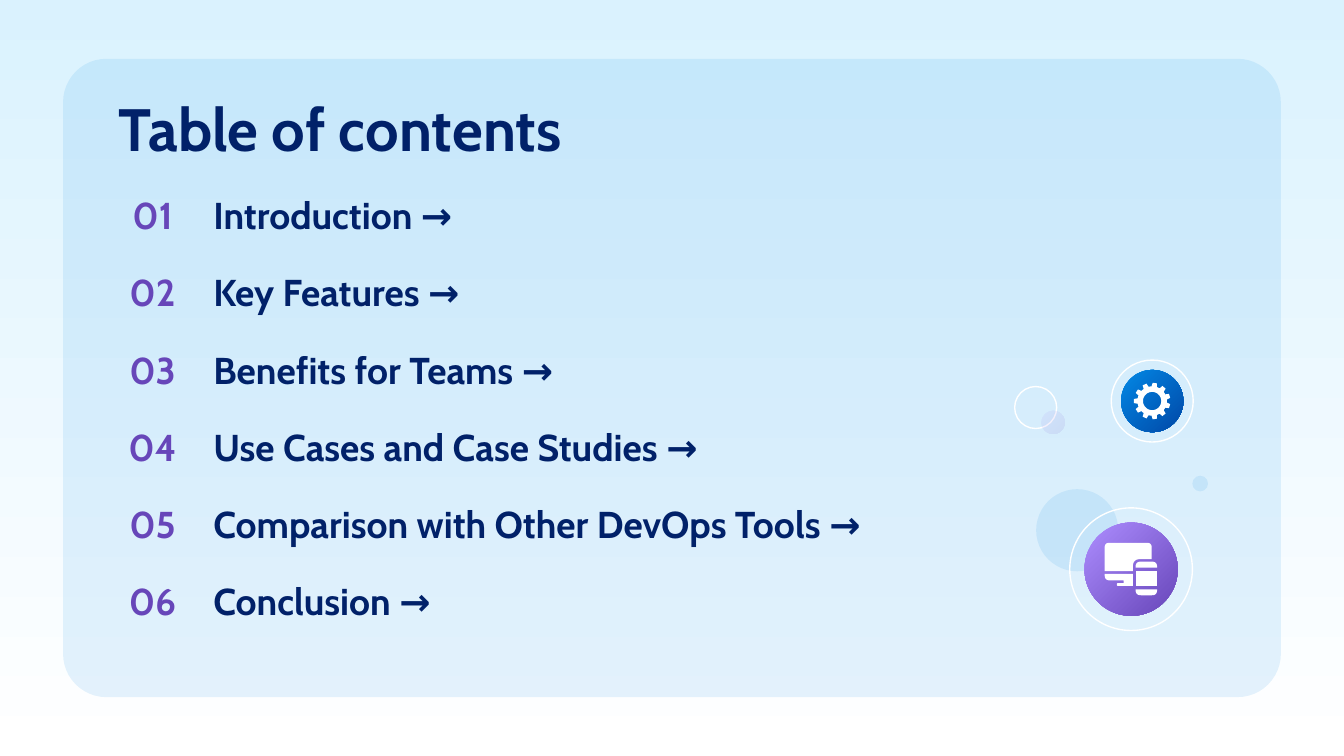
from math import cos, pi, sin

from lxml import etree
from pptx import Presentation
from pptx.dml.color import RGBColor
from pptx.enum.shapes import MSO_SHAPE
from pptx.enum.text import MSO_ANCHOR, MSO_AUTO_SIZE, PP_ALIGN
from pptx.oxml.ns import qn
from pptx.util import Pt

OVAL, ROUND_RECT = MSO_SHAPE.OVAL, MSO_SHAPE.ROUNDED_RECTANGLE
TOP, MIDDLE = MSO_ANCHOR.TOP, MSO_ANCHOR.MIDDLE
LEFT, CENTER = PP_ALIGN.LEFT, PP_ALIGN.CENTER

FONT = "Cabin"
COLORS = {
    "white": "FFFFFF",
    "sky": "DAF2FE",
    "blue": "0388E5",
    "deep_blue": "0048A7",
    "navy": "012169",
    "lilac": "AD8DFF",
    "purple": "6746B9",
}
ENTRIES = [
    "Introduction",
    "Key Features",
    "Benefits for Teams",
    "Use Cases and Case Studies",
    "Comparison with Other DevOps Tools",
    "Conclusion",
]


def rgb(name):
    return RGBColor.from_string(COLORS[name])


def paint(fill, *names, angle=315):
    """Fill with one colour, or with a gradient of two."""
    if len(names) == 1:
        fill.solid()
        fill.fore_color.rgb = rgb(names[0])
        return
    fill.gradient()
    fill.gradient_angle = angle
    for stop, name in zip(fill.gradient_stops, names):
        stop.color.rgb = rgb(name)


def style(sp, *names, alpha=None, line=None):
    sp.shadow.inherit = False
    if names:
        paint(sp.fill, *names)
    else:
        sp.fill.background()
    if alpha:
        for color in sp._element.spPr.iter(qn("a:srgbClr")):
            etree.SubElement(color, qn("a:alpha")).set("val", str(alpha * 1000))
    if line:
        sp.line.color.rgb = rgb(line)
        sp.line.width = Pt(0.75)
    else:
        sp.line.fill.background()
    return sp


def add_shape(shapes, kind, left, top, width, height, *names, **fmt):
    sp = shapes.add_shape(kind, Pt(left), Pt(top), Pt(width), Pt(height))
    return style(sp, *names, **fmt)


def add_circle(shapes, left, top, size, *names, **fmt):
    return add_shape(shapes, OVAL, left, top, size, size, *names, **fmt)


def write(sp, text, box, size=20, color="navy", align=LEFT, anchor=MIDDLE):
    sp.left, sp.top, sp.width, sp.height = (Pt(v) for v in box)
    tf = sp.text_frame
    tf.word_wrap = True
    tf.auto_size = MSO_AUTO_SIZE.NONE
    tf.vertical_anchor = anchor
    tf.margin_left = tf.margin_right = tf.margin_top = tf.margin_bottom = Pt(7.2)
    p = tf.paragraphs[0]
    p.alignment = align
    r = p.add_run()
    r.text = text
    r.font.name, r.font.size, r.font.bold = FONT, Pt(size), True
    r.font.color.rgb = rgb(color)


def add_outline(shapes, left, top, *contours):
    """Draw white closed contours; a second contour cuts a hole."""
    contours = [[(Pt(left + x), Pt(top + y)) for x, y in c] for c in contours]
    builder = shapes.build_freeform(*contours[0][0], scale=1.0)
    for i, points in enumerate(contours):
        if i:
            builder.move_to(*points[0])
        builder.add_line_segments(points[1:], close=True)
    return style(builder.convert_to_shape(), "white")


def round_corners(corners, steps=6):
    """Turn (x, y, radius) corners into points along a rounded polygon."""
    points = []
    for i, (x, y, radius) in enumerate(corners):
        if not radius:
            points.append((x, y))
            continue
        ends = []
        for nx, ny, _ in (corners[i - 1], corners[(i + 1) % len(corners)]):
            part = radius / ((nx - x) ** 2 + (ny - y) ** 2) ** 0.5
            ends.append((x + (nx - x) * part, y + (ny - y) * part))
        (ax, ay), (bx, by) = ends
        for k in range(steps + 1):
            t = k / steps
            a, m, b = (1 - t) ** 2, 2 * t * (1 - t), t * t
            points.append((a * ax + m * x + b * bx, a * ay + m * y + b * by))
    return points


def add_badge(slide, left, top, size, *names):
    """Group a white ring with a gradient disc and return its shapes."""
    shapes = slide.shapes.add_group_shape().shapes
    add_circle(shapes, left, top, size, line="white")
    disc = size * 0.76
    gap = (size - disc) / 2
    add_circle(shapes, left + gap, top + gap, disc, *names)
    return shapes


def add_gear_badge(slide, left, top, size):
    shapes = add_badge(slide, left, top, size, "blue", "deep_blue")
    teeth, tip, root, hole = 11, 9.8, 7.9, 4.9
    pitch = 2 * pi / teeth
    profile = [(-0.32, root), (-0.2, tip), (0.2, tip), (0.32, root)]
    rim = [(r * sin((i + 0.25 + d) * pitch), -r * cos((i + 0.25 + d) * pitch))
           for i in range(teeth) for d, r in profile]
    bore = [(hole * cos(k * pi / 18), hole * sin(k * pi / 18)) for k in range(36)]
    add_outline(shapes, left + size / 2, top + size / 2, rim, bore)


def add_devices_badge(slide, left, top, size):
    shapes = add_badge(slide, left, top, size, "lilac", "purple")
    x1, x2, x3, x4 = 18.7, 33.8, 35.3, 46.8
    parts = [
        # phone: screen, bottom, top
        [(x3, 33.8, 0), (x3, 41.8, 0), (x4, 41.8, 0), (x4, 33.8, 0)],
        [(x3, 43.6, 0), (x3, 46.8, 2.8), (x4, 46.8, 2.8), (x4, 43.6, 0)],
        [(x3, 32, 0), (x3, 28.8, 2.8), (x4, 28.8, 2.8), (x4, 32, 0)],
        # monitor: foot, screen
        [(x1, 35.3, 0), (x2, 35.3, 0), (x2, 41.8, 0), (25.2, 41.8, 0.7),
         (25.2, 40.3, 0.7), (28.8, 40.3, 0), (28.8, 38.9, 0), (x1, 38.9, 2.9)],
        [(x1, 18.7, 2.5), (43.9, 18.7, 2.5), (43.9, 27.4, 0), (x2, 27.4, 4),
         (x2, 33.8, 0), (x1, 33.8, 0)],
    ]
    for corners in parts:
        add_outline(shapes, left, top, round_corners(corners))


def add_panel(slide, left, top, width, height):
    sp = add_shape(slide.shapes, ROUND_RECT, left, top, width, height,
                   "blue", alpha=10)
    sp.adjustments[0] = 0.068
    slide.shapes._spTree.insert(2, sp._element)  # behind the title


def add_contents(slide, left, top, width, height):
    number_width = 51
    row = height / len(ENTRIES)
    for i, entry in enumerate(ENTRIES):
        y = top + i * row
        cells = [
            (f"{i + 1:02}", left, number_width, "purple", CENTER),
            (f"{entry} →", left + number_width, width - number_width, "navy", LEFT),
        ]
        for text, x, w, color, align in cells:
            write(slide.shapes.add_textbox(0, 0, 0, 0), text, (x, y, w, row),
                  color=color, align=align)


def add_decoration(slide, left, top):
    shapes = slide.shapes
    add_circle(shapes, left + 11.5, top + 69.2, 44, "blue", alpha=10)
    add_devices_badge(slide, left + 29.5, top + 79.2, 65.7)
    add_circle(shapes, left, top + 14.2, 22.5, line="white")
    add_circle(shapes, left + 14.4, top + 27.2, 12.4, "lilac", "purple", alpha=10)
    add_gear_badge(slide, left + 51.7, top, 43.9)
    add_circle(shapes, left + 95.2, top + 62, 8.4, "blue", alpha=10)


def add_contents_slide(prs):
    slide = prs.slides.add_slide(prs.slide_layouts[5])
    paint(slide.background.fill, "white", "sky", angle=90)
    add_panel(slide, 33.8, 31.5, 652.4, 342)
    write(slide.shapes.title, "Table of contents", (56.2, 42.2, 607.6, 52.3),
          size=32, anchor=TOP)
    add_contents(slide, 56.2, 94.5, 607.6, 247.8)
    add_decoration(slide, 543.6, 192.9)


def main():
    prs = Presentation()
    prs.slide_width, prs.slide_height = Pt(720), Pt(405)
    add_contents_slide(prs)
    prs.save("out.pptx")


if __name__ == "__main__":
    main()
